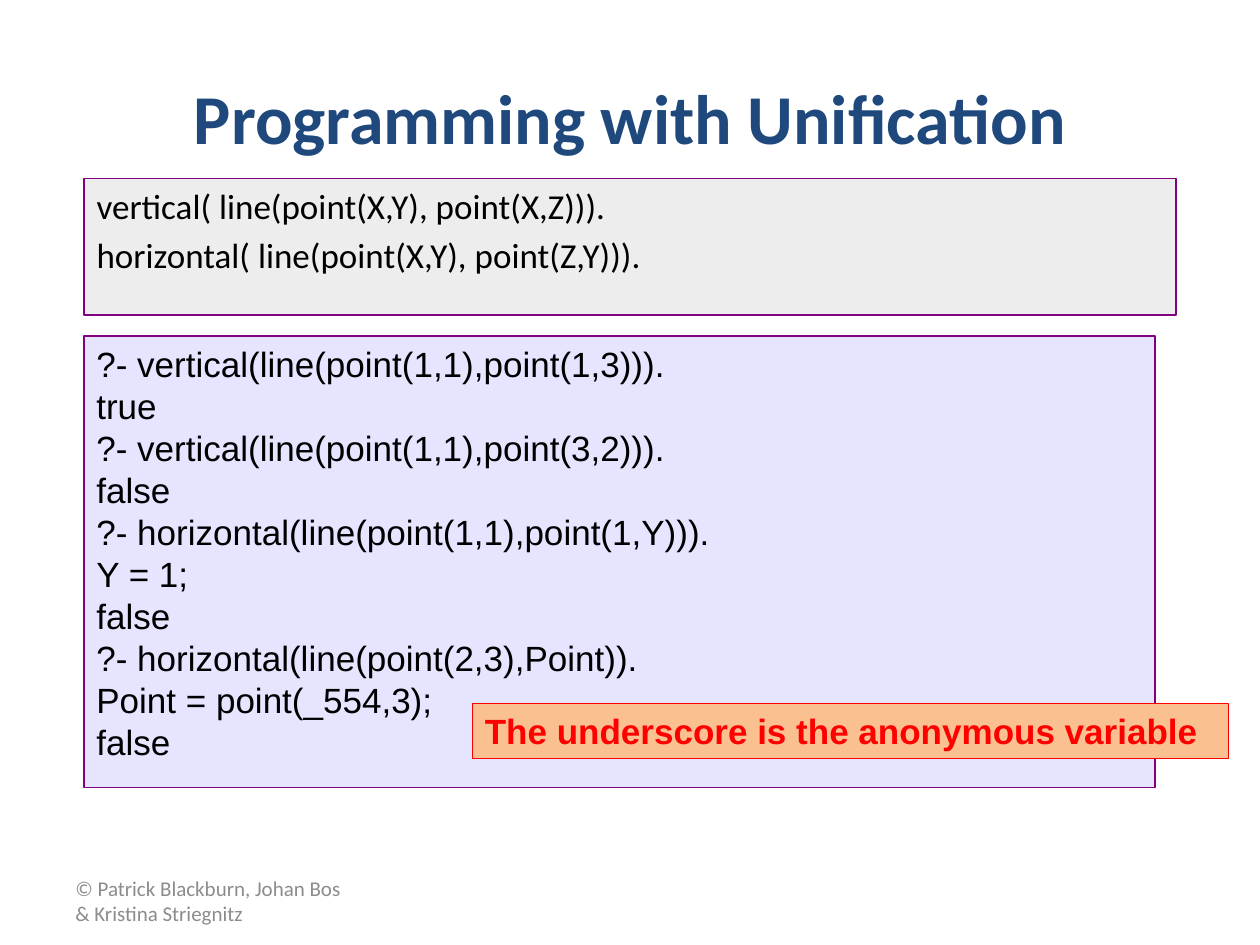
from dataclasses import dataclass

from lxml.etree import SubElement
from pptx import Presentation
from pptx.dml.color import RGBColor
from pptx.enum.shapes import MSO_SHAPE
from pptx.enum.text import MSO_ANCHOR, MSO_AUTO_SIZE, PP_ALIGN
from pptx.oxml.ns import qn
from pptx.util import Pt


@dataclass(frozen=True)
class Theme:
    """Colours, fonts and type sizes of the slide."""
    heading: str = "1F497D"
    ink: str = "000000"
    muted: str = "8C8C8C"
    alert: str = "FF0000"
    border: str = "800080"
    program_fill: str = "DDDDDD"
    query_fill: str = "CCCCFF"
    note_fill: str = "FAC090"
    text_font: str = "Calibri"
    code_font: str = "Arial"
    title_size: int = 40
    body_size: int = 20
    footer_size: int = 12


THEME = Theme()
HANGING = Pt(27)
PROGRAM = [
    "vertical( line(point(X,Y), point(X,Z))).",
    "horizontal( line(point(X,Y), point(Z,Y))).",
]
SESSION = [
    "?- vertical(line(point(1,1),point(1,3))).",
    "true",
    "?- vertical(line(point(1,1),point(3,2))).",
    "false",
    "?- horizontal(line(point(1,1),point(1,Y))).",
    "Y = 1;",
    "false",
    "?- horizontal(line(point(2,3),Point)).",
    "Point = point(_554,3);",
    "false",
]


def apply(target, values):
    """Set each named attribute on the target."""
    for name, value in values.items():
        setattr(target, name, value)


def place(box, left, top, width, height):
    """Move and size a box, in points."""
    apply(box, {"left": Pt(left), "top": Pt(top),
                "width": Pt(width), "height": Pt(height)})


def paint(box, fill, line, alpha=None):
    """Give a box its fill, outline and optional opacity in percent."""
    box.fill.solid()
    box.fill.fore_color.rgb = RGBColor.from_string(fill)
    if alpha is not None:
        colour = box.fill._xPr.find(qn("a:solidFill"))[0]
        SubElement(colour, qn("a:alpha")).set("val", str(alpha * 1000))
    box.line.color.rgb = RGBColor.from_string(line)
    box.line.width = Pt(0.75)


def write(box, lines, font, size, colour, bold=False, align=PP_ALIGN.LEFT,
          anchor=MSO_ANCHOR.TOP, fit=MSO_AUTO_SIZE.NONE, before=0, hanging=False):
    """Write one formatted paragraph for each line."""
    frame = box.text_frame
    apply(frame, {"word_wrap": True, "auto_size": fit, "vertical_anchor": anchor})
    for index, line in enumerate(lines):
        para = frame.add_paragraph() if index else frame.paragraphs[0]
        apply(para, {"alignment": align, "space_before": Pt(before)})
        if hanging:
            properties = para._p.get_or_add_pPr()
            properties.set("marL", str(HANGING))
            properties.set("indent", str(-HANGING))
            SubElement(properties, qn("a:buNone"))
        span = para.add_run()
        span.text = line
        apply(span.font, {"name": font, "size": Pt(size), "bold": bold})
        span.font.color.rgb = RGBColor.from_string(colour)


def add_panel(page, bounds, fill, line, alpha=None):
    """Add a flat rectangle."""
    box = page.shapes.add_shape(MSO_SHAPE.RECTANGLE, *map(Pt, bounds))
    box.shadow.inherit = False
    paint(box, fill, line, alpha)
    return box


def add_footer(page):
    """Add the authors' line."""
    box = page.shapes.add_textbox(*map(Pt, (36, 500.4, 168, 28.8)))
    write(box, ["© Patrick Blackburn, Johan Bos & Kristina Striegnitz"],
          THEME.text_font, THEME.footer_size, THEME.muted, anchor=MSO_ANCHOR.MIDDLE)


def fill_title(page):
    """Write the title placeholder."""
    box = page.shapes.title
    place(box, 36, 21.6, 648, 90)
    write(box, ["Programming with Unification"], THEME.text_font, THEME.title_size,
          THEME.heading, bold=True, align=PP_ALIGN.CENTER, anchor=MSO_ANCHOR.MIDDLE)


def fill_program(page):
    """Write the program into the body placeholder."""
    box = page.placeholders[1]
    place(box, 48, 102, 624, 78)
    paint(box, THEME.program_fill, THEME.border, alpha=50)
    write(box, PROGRAM, THEME.text_font, THEME.body_size, THEME.ink,
          before=THEME.body_size * 0.2, hanging=True)


def add_session(page):
    """Add the queries with their answers."""
    box = add_panel(page, (48, 192, 612, 258), THEME.query_fill, THEME.border, alpha=50)
    write(box, SESSION, THEME.code_font, THEME.body_size, THEME.ink, hanging=True)


def add_note(page):
    """Add the remark on the anonymous variable."""
    box = add_panel(page, (270, 402, 432, 31.5), THEME.note_fill, THEME.alert)
    write(box, ["The underscore is the anonymous variable"], THEME.code_font,
          THEME.body_size, THEME.alert, bold=True, fit=MSO_AUTO_SIZE.SHAPE_TO_FIT_TEXT)


def main():
    """Build and save the slide."""
    deck = Presentation()
    apply(deck, {"slide_width": Pt(720), "slide_height": Pt(540)})
    page = deck.slides.add_slide(deck.slide_layouts[1])
    for build in (add_footer, fill_title, fill_program, add_session, add_note):
        build(page)
    deck.save("out.pptx")


if __name__ == "__main__":
    main()
